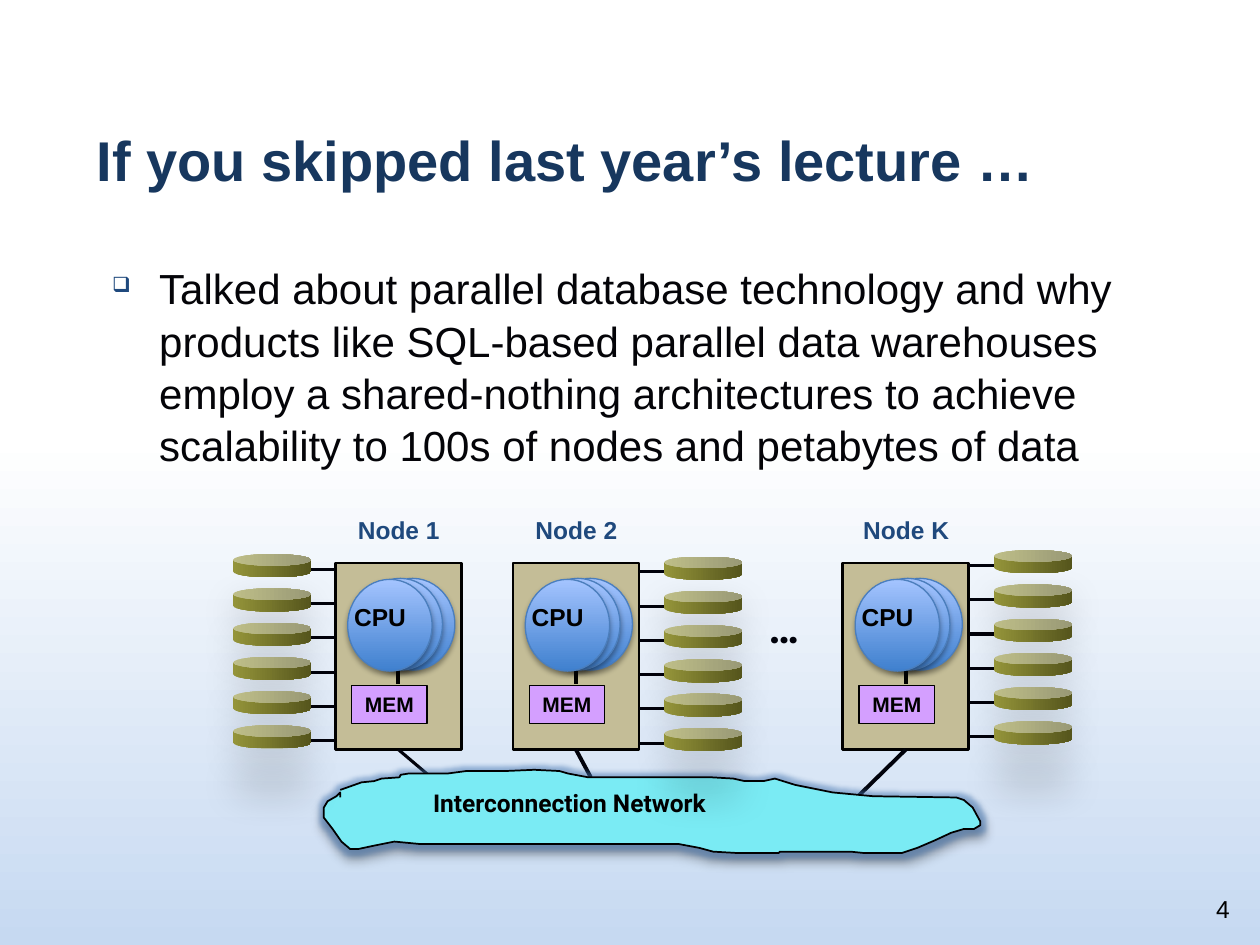
import pptx
import pptx.util
import pptx.dml.color
import pptx.enum.shapes
import pptx.enum.text
import pptx.oxml
import pptx.oxml.ns

Cm = pptx.util.Cm
Pt = pptx.util.Pt
SHAPE = pptx.enum.shapes.MSO_SHAPE
ANCHOR = pptx.enum.text.MSO_ANCHOR
ALIGN = pptx.enum.text.PP_ALIGN
NS = pptx.oxml.ns.nsdecls("a")

NODE_TOP, NODE_W, NODE_H = 11.35, 2.54, 3.76
DISK_W, DISK_H, DISK_PITCH, DISK_COUNT = 1.57, 0.47, 0.69, 6

# label, node left, network end (x, y), link width
NODES = [
    ("Node 1", 6.76, (8.69, 15.67), 1.75),
    ("Node 2", 10.34, (11.91, 15.67), 2.25),
    ("Node K", 16.99, (17.32, 16.03), 2.25),
]
# disk left, first disk top, wire start, wire end
STACKS = [
    (20.04, 11.09, 20.14, 19.53),
    (13.39, 11.22, 13.46, 12.88),
    (4.70, 11.17, 6.17, 6.76),
]
# Outline of the network cloud, in hundredths of an inch
CLOUD = [
    (270, 627), (287, 621), (297, 620), (303, 618), (317, 617), (318, 615),
    (324, 614), (355, 614), (370, 612), (401, 612), (424, 611), (444, 612),
    (451, 614), (467, 617), (565, 617), (582, 618), (591, 620), (606, 620),
    (615, 618), (631, 623), (661, 629), (693, 632), (759, 633), (765, 635),
    (772, 641), (778, 652), (778, 655), (773, 658), (765, 658), (755, 661),
    (742, 667), (728, 673), (716, 677), (685, 677), (675, 676), (619, 676),
    (618, 677), (584, 677), (566, 676), (555, 673), (539, 670), (334, 670),
    (313, 668), (298, 671), (284, 674), (278, 674), (271, 668), (264, 658),
    (257, 649), (257, 641), (260, 636), (267, 632), (270, 629), (270, 633),
]


def rgb(color):
    return pptx.dml.color.RGBColor.from_string(color)


def set_gradient(fill, stops, angle):
    fill.gradient()
    fill.gradient_angle = angle
    for stop, (position, color) in zip(fill.gradient_stops, stops):
        stop.position = position
        stop.color.rgb = rgb(color)


def set_effects(sp, alpha, blur, dist, glow=""):
    """Give a shape a downward shadow, with an optional glow."""
    sp.shadow.inherit = False
    effects = sp._element.spPr.find(pptx.oxml.ns.qn("a:effectLst"))
    if glow:
        effects.append(pptx.oxml.parse_xml(
            f'<a:glow {NS} rad="{Pt(5)}"><a:srgbClr val="{glow}">'
            '<a:alpha val="50000"/></a:srgbClr></a:glow>'))
    effects.append(pptx.oxml.parse_xml(
        f'<a:outerShdw {NS} blurRad="{Pt(blur)}" dist="{Pt(dist)}" dir="5400000" '
        f'rotWithShape="0"><a:srgbClr val="000000"><a:alpha val="{alpha * 1000}"/>'
        '</a:srgbClr></a:outerShdw>'))


def format_text(tf, text, size, color="000000", bold=True, font="Arial",
                align=ALIGN.LEFT, anchor=ANCHOR.TOP, wrap=True):
    tf.text = text
    tf.word_wrap = wrap
    tf.vertical_anchor = anchor
    p = tf.paragraphs[0]
    p.alignment = align
    f = p.runs[0].font
    f.name, f.size, f.bold = font, Pt(size), bold
    f.color.rgb = rgb(color)
    return p


def add_text(s, x, y, w, h, text, size, **style):
    tb = s.shapes.add_textbox(Cm(x), Cm(y), Cm(w), Cm(h))
    return format_text(tb.text_frame, text, size, **style)


def add_shape(s, kind, x, y, w, h, fill="", line="", width=1):
    sp = s.shapes.add_shape(kind, Cm(x), Cm(y), Cm(w), Cm(h))
    sp.shadow.inherit = False
    if fill:
        sp.fill.solid()
        sp.fill.fore_color.rgb = rgb(fill)
    if line:
        sp.line.color.rgb = rgb(line)
        sp.line.width = Pt(width)
    else:
        sp.line.fill.background()
    return sp


def add_line(s, x1, y1, x2, y2, width, color="01020B"):
    cn = s.shapes.add_connector(pptx.enum.shapes.MSO_CONNECTOR.STRAIGHT,
                                Cm(x1), Cm(y1), Cm(x2), Cm(y2))
    cn.line.color.rgb = rgb(color)
    cn.line.width = Pt(width)
    cn._element.spPr.append(pptx.oxml.parse_xml(f"<a:effectLst {NS}/>"))
    return cn


def add_node(s, label, x, end, width):
    add_text(s, x - 0.36, 10.26, 3.28, 0.86, label, 14, color="1F497D",
             align=ALIGN.CENTER)
    box = add_shape(s, SHAPE.RECTANGLE, x, NODE_TOP, NODE_W, NODE_H,
                    "C4BD97", "000000", 1.5)
    mem = add_shape(s, SHAPE.RECTANGLE, x + 0.33, 13.82, 1.52, 0.76,
                    "D49FFF", "000000", 0.75)
    format_text(mem.text_frame, "MEM", 12, align=ALIGN.CENTER,
                anchor=ANCHOR.MIDDLE, wrap=False)
    add_line(s, x + 1.27, 13.41, x + 1.27, 13.79, 2.25, "000000")
    # Overlapping processors, back to front
    for dx, y in ((0.71, 11.66), (0.46, 11.66), (0.25, 11.68)):
        cpu = add_shape(s, SHAPE.OVAL, x + dx, y, 1.7, 1.85, line="4B7EBC", width=0.75)
        set_gradient(cpu.fill, ((0, "3F80CE"), (1, "A4C4FF")), 90)
        set_effects(cpu, 35, 3.1, 1.8)
    add_text(s, x + 0.13, 12.01, 1.57, 0.86, "CPU", 14, wrap=False)
    # Link down to the network
    link = add_line(s, x + NODE_W / 2, NODE_TOP + NODE_H, *end, width)
    link.begin_connect(box, 2)


def add_network(s):
    fb = s.shapes.build_freeform(*CLOUD[0], scale=Cm(0.0254))
    fb.add_line_segments(CLOUD[1:], close=False)
    sp = fb.convert_to_shape()
    sp.fill.solid()
    sp.fill.fore_color.rgb = rgb("7AEBF4")
    sp.line.color.rgb = rgb("000000")
    sp.line.width = Pt(1)
    set_effects(sp, 40, 4, 3, glow="4F81BD")
    add_text(s, 8.48, 15.77, 8.89, 1.14, "Interconnection Network", 14, font="Roboto")


def add_disk_stack(s, x, top, wire_start, wire_end):
    for i in range(DISK_COUNT):
        y = top + 0.31 + i * DISK_PITCH
        add_line(s, wire_start, y, wire_end, y, 1.75)
    for i in range(DISK_COUNT):
        disk = add_shape(s, SHAPE.CAN, x, top + i * DISK_PITCH, DISK_W, DISK_H)
        disk.adjustments[0] = 0.5
        set_gradient(disk.fill, ((0, "94943A"), (1, "55551C")), 0)
        set_effects(disk, 15, 21, 27)


def add_bullet(p):
    pPr = p._p.get_or_add_pPr()
    pPr.set("marL", str(Cm(0.95)))
    pPr.set("indent", str(-Cm(0.95)))
    for xml in (f'<a:buClr {NS}><a:srgbClr val="1F497D"/></a:buClr>',
                f'<a:buSzPct {NS} val="50000"/>',
                f'<a:buChar {NS} char="❑"/>'):
        pPr.append(pptx.oxml.parse_xml(xml))


def main():
    prs = pptx.Presentation()
    prs.slide_width, prs.slide_height = Cm(25.4), Cm(19.05)
    s = prs.slides.add_slide(prs.slide_layouts[5])
    set_gradient(s.background.fill, ((0.46, "FFFFFF"), (1, "C6D9F1")), 270)

    # Title and text
    title = s.shapes.title
    title.left, title.top, title.width, title.height = Cm(1.7), Cm(0.84), Cm(21.59), Cm(3.18)
    format_text(title.text_frame, "If you skipped last year’s lecture …", 32,
                color="17375E", anchor=ANCHOR.BOTTOM)
    p = add_text(s, 2.01, 5.13, 21.59, 4.5,
                 "Talked about parallel database technology and why products like "
                 "SQL-based parallel data warehouses employ a shared-nothing "
                 "architectures to achieve scalability to 100s of nodes and "
                 "petabytes of data", 24, color="040408", bold=False)
    add_bullet(p)
    p.line_spacing = 1.04

    # Cluster diagram
    for node in NODES:
        add_node(s, *node)
    add_text(s, 15.29, 12.01, 1.8, 1.7, "…", 24, color="01020B", font="Karla")
    add_network(s)
    for stack in STACKS:
        add_disk_stack(s, *stack)

    # Slide number
    add_text(s, 23.11, 17.48, 1.93, 1.27, "4", 14, bold=False,
             align=ALIGN.RIGHT, anchor=ANCHOR.BOTTOM)
    prs.save("out.pptx")


if __name__ == "__main__":
    main()
